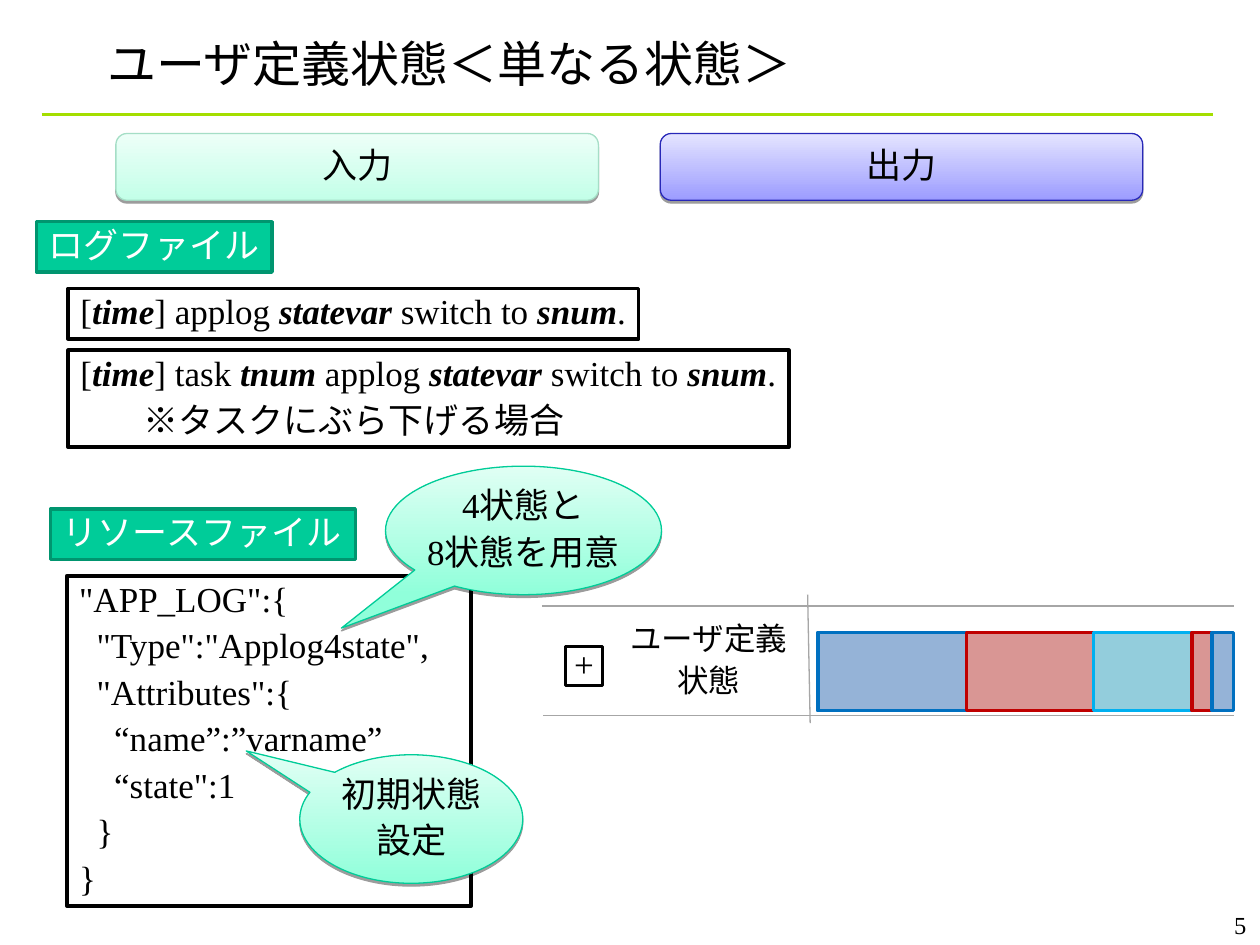
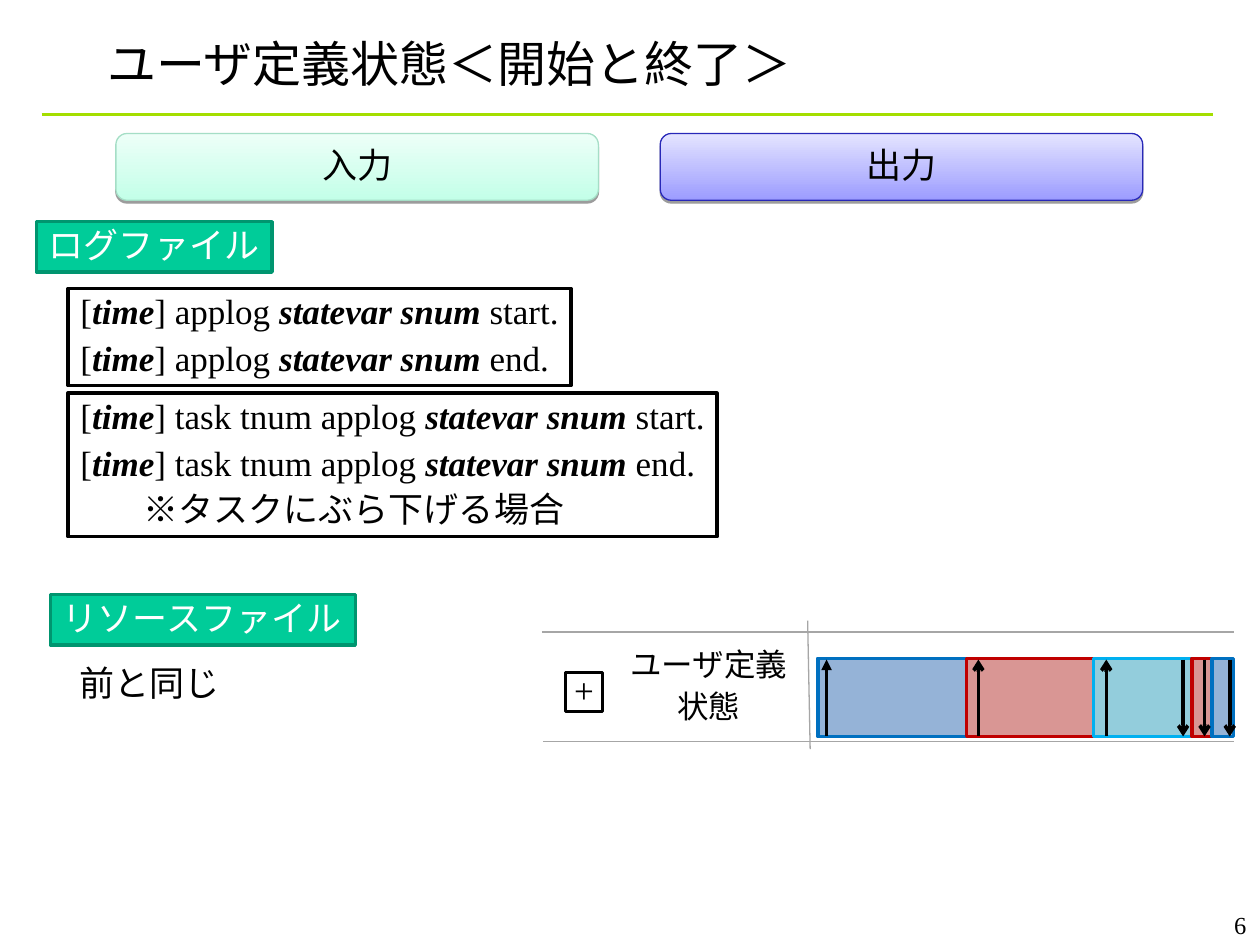
"""Two slides on user-defined states: input files on the left, drawn output on the right."""
from pptx import Presentation, util as u
from pptx.dml.color import RGBColor
from pptx.enum import shapes as kinds, text as txt
from pptx.oxml import parse_xml
from pptx.oxml.ns import nsdecls, qn

COLS, ROWS = 100, 75          # grid of square cells over the slide
CELL = u.Inches(10) // COLS
FONT = "Times New Roman"
BLACK, WHITE, GREY, LIME = "000000", "FFFFFF", "A6A6A6", "A4DE00"
TAG = ("00CC99", "00956F")
MINT = ("C3FFE8", "EDFFF8", "A5DEC6")
BLUE = ("9C9CFF", "E4E4FF", "2828B8")
BUBBLE = ("90FFDA", "E0FFF4", "00CC98")
STATES = {"a": ("4F81BD", "0070C0"), "b": ("C0504D", "C00000"), "c": ("4BACC6", "00B0F0")}
EDGES = (64.9, 76.7, 86.8, 94.6, 96.2, 97.9)
LEFT, MID = txt.PP_ALIGN.LEFT, txt.PP_ALIGN.CENTER
TOP, CORE = txt.MSO_ANCHOR.TOP, txt.MSO_ANCHOR.MIDDLE
RECT = kinds.MSO_SHAPE.RECTANGLE
ROUND = kinds.MSO_SHAPE.ROUNDED_RECTANGLE
OVAL = kinds.MSO_SHAPE.OVAL_CALLOUT
NOTE = ("※タスクにぶら下げる場合", 5)
STEP = 1.39                   # one indent of the code, in cells


def rgb(code):
    """Turn a hex string into a colour."""
    return RGBColor.from_string(code)


def grid(*cells):
    """Turn grid cells into slide lengths."""
    return [round(c * CELL) for c in cells]


def xml(tag, body="", **attrs):
    """Make one drawing element."""
    pairs = " ".join(f'{k}="{v}"' for k, v in attrs.items())
    return parse_xml(f"<a:{tag} {nsdecls('a')} {pairs}>{body}</a:{tag}>")


def write(frame, lines, size=20, color=BLACK, align=LEFT, anchor=TOP,
          wrap=False, gap=5, lead=0.9, pad=1):
    """Fill a frame; a line is text or (text, indent), with *...* as bold italic."""
    frame.auto_size = txt.MSO_AUTO_SIZE.NONE
    frame.word_wrap = wrap
    frame.vertical_anchor = anchor
    frame.margin_left, frame.margin_right = grid(pad, pad)
    frame.margin_top, frame.margin_bottom = grid(pad / 2, pad / 2)
    for i, line in enumerate(lines):
        words, indent = line if isinstance(line, tuple) else (line, 0)
        para = frame.add_paragraph() if i else frame.paragraphs[0]
        para.alignment = align
        para.space_before, para.line_spacing = u.Pt(gap), lead
        if indent:
            props = para._p.get_or_add_pPr()
            props.set("marL", str(grid(indent)[0]))
            props.set("indent", "0")
        for n, part in enumerate(words.split("*")):
            if part:
                run = para.add_run()
                run.text = part
                font = run.font
                font.name, font.size = FONT, u.Pt(size)
                font.bold = font.italic = n % 2 == 1
                font.color.rgb = rgb(color)


def box(group, at, fill, edge, lines=(), width=2, kind=RECT, **style):
    """Add a flat, outlined shape with optional text."""
    shape = group.add_shape(kind, *grid(*at))
    shape.shadow.inherit = False
    shape.fill.solid()
    shape.fill.fore_color.rgb = rgb(fill)
    shape.line.color.rgb = rgb(edge)
    shape.line.width = u.Pt(width)
    if lines:
        write(shape.text_frame, lines, **style)
    return shape


def glow(group, at, tones, lines, kind, tip=()):
    """Add a shaded, centred shape with a small drop shadow; tip aims a callout."""
    low, high, edge = tones
    shape = box(group, at, low, edge, lines, 0.75, kind, align=MID, anchor=CORE)
    shape.fill.gradient()
    shape.fill.gradient_angle = 90
    for stop, tone in zip(shape.fill.gradient_stops, (low, high)):
        stop.color.rgb = rgb(tone)
    for i, aim in enumerate(tip):
        shape.adjustments[i] = aim
    ink = f'<a:srgbClr val="{BLACK}"><a:alpha val="38000"/></a:srgbClr>'
    shape.element.spPr.find(qn("a:effectLst")).append(
        xml("outerShdw", ink, blurRad=0, dist=u.Pt(1.6), dir=5400000, rotWithShape=0))


def rule(group, ends, color, width=0.75, tip=None, form="arrow"):
    """Add a line; tip is headEnd (start) or tailEnd (finish)."""
    line = group.add_connector(kinds.MSO_CONNECTOR.STRAIGHT, *grid(*ends))
    line.line.color.rgb = rgb(color)
    line.line.width = u.Pt(width)
    line.element.spPr.append(xml("effectLst"))
    if tip:
        line.line._get_or_add_ln().append(xml(tip, type=form))
    return line


def label(group, at, lines, **style):
    """Add a plain text box."""
    write(group.add_textbox(*grid(*at)).text_frame, lines, **style)


def tag(group, x, y, w, name):
    """Add a green file label."""
    box(group, (x, y, w, 4), *TAG, [name], color=WHITE)


def start(deck, title, number):
    """Add a slide with its title and number."""
    slide = deck.slides.add_slide(deck.slide_layouts[5])
    head = slide.shapes.title
    head.left, head.top, head.width, head.height = grid(7.5, 2.5, 85, 5)
    write(head.text_frame, [title], 28, anchor=CORE, wrap=True, gap=0, lead=1)
    label(slide.shapes, (79.1, 71.7, 20.8, 3.3), [str(number)], size=14,
          align=txt.PP_ALIGN.RIGHT, wrap=True, gap=0, lead=1)
    return slide.shapes


def source(shapes, y, at, lines, edge):
    """Group the resource file label with its content."""
    group = shapes.add_group_shape().shapes
    box(group, at, WHITE, edge, lines, wrap=True)
    tag(group, 4, y, 24.2, "リソースファイル")


def logs(shapes, *forms):
    """Group the log file label with its boxes of (top, width, height, lines)."""
    group = shapes.add_group_shape().shapes
    tag(group, 2.9, 17.6, 18.7, "ログファイル")
    for y, w, h, lines in forms:
        box(group, (5.4, y, w, h), WHITE, BLACK, lines)


def heads(shapes):
    """Add the two column headings."""
    for x, tones, name in ((9.2, MINT, "入力"), (52.4, BLUE, "出力")):
        glow(shapes, (x, 10.6, 38.3, 5.3), tones, [name], ROUND)


def strip(shapes, y):
    """Draw the row of states whose bars start at y, and return its group."""
    group = shapes.add_group_shape().shapes
    for key, x, end in zip("abcba", EDGES, EDGES[1:]):
        fill, edge = STATES[key]
        bar = box(group, (x, y, end - x, 6.2), fill, edge)
        tone = bar.element.spPr.find(qn("a:solidFill")).find(qn("a:srgbClr"))
        tone.append(xml("alpha", val=60000))
    for x, dy in ((43, -2.1), (43.1, 6.6)):
        rule(group, (x, y + dy, 97.9, y + dy), GREY)
    label(group, (49, y - 1.2, 14.5, 7.1), ["ユーザ定義", "状態"],
          size=18, align=MID, gap=4.5)
    rule(group, (64.1, y - 3, 64.3, y + 7.2), GREY)
    box(group, (44.9, y + 1.1, 2.9, 3.1), WHITE, BLACK, ["+"], 1.5,
        align=MID, anchor=CORE, wrap=True, pad=0)
    return group


def simple(deck):
    """Build the slide on plain states."""
    shapes = start(deck, "ユーザ定義状態＜単なる状態＞", 5)
    code = ['"APP_LOG":{', ('"Type":"Applog4state",', STEP), ('"Attributes":{', STEP),
            ("“name”:”varname”", 2 * STEP), ('“state":1', 2 * STEP), ("}", STEP), "}"]
    source(shapes, 40.4, (5.3, 45.7, 32.1, 26.2), code, BLACK)
    logs(shapes,
         (22.9, 45.3, 4, ["[*time*] applog *statevar* switch to *snum*."]),
         (27.8, 57.2, 7.7,
          ["[*time*] task *tnum* applog *statevar* switch to *snum*.", NOTE]))
    heads(shapes)
    glow(shapes, (30.6, 37, 21.9, 10.2), BUBBLE, ["4状態と", "8状態を用意"],
         OVAL, (-0.66, 0.76))
    glow(shapes, (23.8, 59.9, 17.7, 10.2), BUBBLE, ["初期状態", "設定"],
         OVAL, (-0.74, -0.53))
    strip(shapes, 50.2)


def span(deck):
    """Build the slide on states with a start and an end."""
    shapes = start(deck, "ユーザ定義状態＜開始と終了＞", 6)
    source(shapes, 47.2, (5.3, 52.4, 32.1, 4), ["前と同じ"], WHITE)
    plain, task = ([f"[*time*] {who}applog *statevar snum *{end}."
                    for end in ("start", "end")] for who in ("", "task tnum "))
    logs(shapes, (22.9, 39.9, 7.7, plain), (31.2, 51.5, 11.4, task + [NOTE]))
    heads(shapes)
    y = 52.25
    group = strip(shapes, y)
    for x, tip, form in ((65.6, "headEnd", "triangle"), (77.65, "headEnd", "arrow"),
                         (87.8, "headEnd", "arrow"), (93.9, "tailEnd", "arrow"),
                         (95.6, "tailEnd", "arrow"), (97.6, "tailEnd", "arrow")):
        rule(group, (x, y + 0.1, x, y + 6.2), BLACK, 2, tip, form)


def main():
    """Build and save the deck."""
    deck = Presentation()
    deck.slide_width, deck.slide_height = grid(COLS, ROWS)
    simple(deck)
    span(deck)
    # The line under the title belongs to the shared layout.
    line = rule(deck.slides[0].shapes, (3.3, 9.1, 96.3, 9.1), LIME, 1.5)
    deck.slide_layouts[5].shapes.element.append(line.element)
    deck.save("out.pptx")


main()
